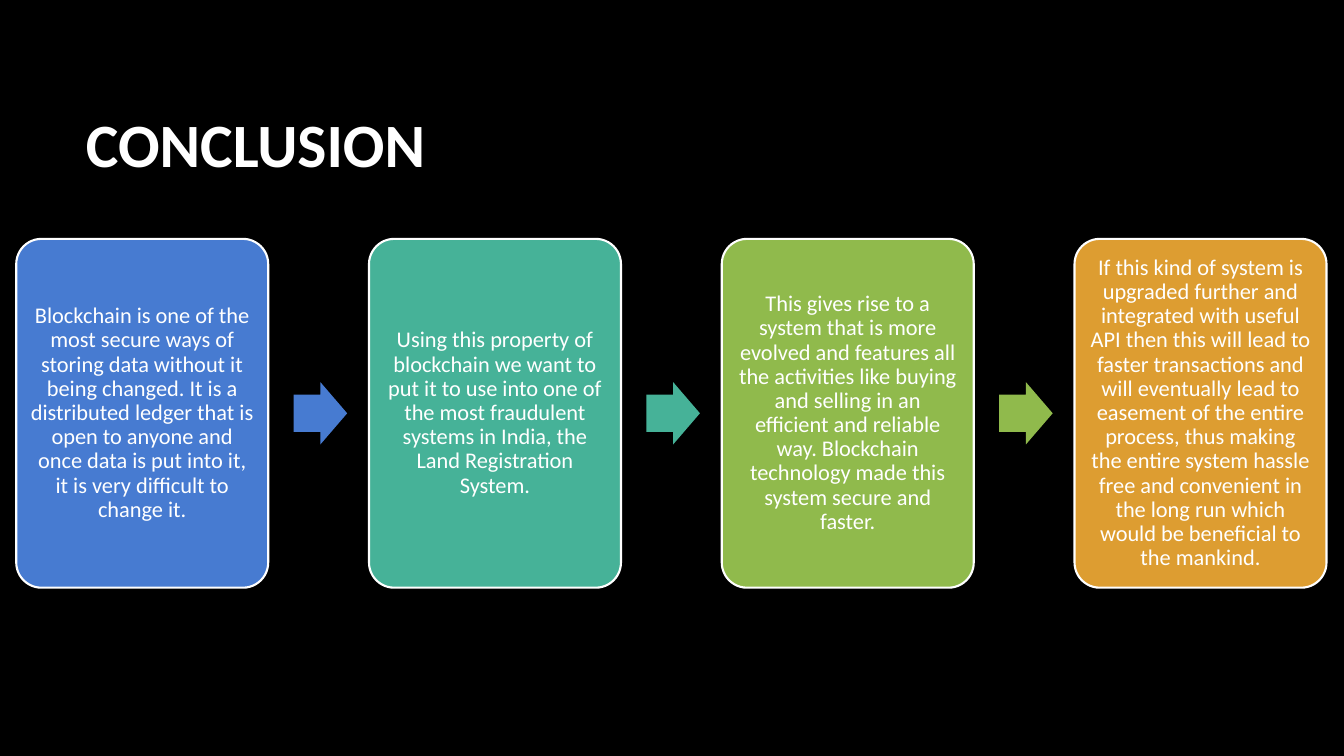
from dataclasses import dataclass

import pptx
import pptx.dml.color
import pptx.enum.shapes
import pptx.enum.text
import pptx.util
from pptx.util import Cm

HUES = {
    "black": "000000",
    "white": "FFFFFF",
    "blue": "477BD1",
    "teal": "46B298",
    "green": "90BA4C",
    "gold": "DD9D31",
}
FONT = "Calibri"
LEFT, TOP, WIDTH, HEIGHT = 0.41, 6.02, 6.35, 8.79
PITCH = 8.89
GAP = 0.64
ARROW_W, ARROW_H = 1.35, 1.57


@dataclass
class Step:
    hue: str
    text: str


STEPS = [
    Step("blue", "Blockchain is one of the most secure ways of storing data without it being "
         "changed. It is a distributed ledger that is open to anyone and once data is put "
         "into it, it is very difficult to change it."),
    Step("teal", "Using this property of blockchain we want to put it to use into one of the "
         "most fraudulent systems in India, the Land Registration System."),
    Step("green", "This gives rise to a system that is more evolved and features all the "
         "activities like buying and selling in an efficient and reliable way. Blockchain "
         "technology made this system secure and faster."),
    Step("gold", "If this kind of system is upgraded further and integrated with useful API "
         "then this will lead to faster transactions and will eventually lead to easement of "
         "the entire process, thus making the entire system hassle free and convenient in "
         "the long run which would be beneficial to the mankind."),
]


def color(name: str) -> pptx.dml.color.RGBColor:
    return pptx.dml.color.RGBColor.from_string(HUES[name])


def write(frame, text: str, size: int, align, bold: bool = False) -> None:
    frame.text = text
    frame.word_wrap = True
    frame.auto_size = pptx.enum.text.MSO_AUTO_SIZE.NONE
    frame.vertical_anchor = pptx.enum.text.MSO_ANCHOR.MIDDLE
    line = frame.paragraphs[0]
    line.alignment = align
    line.line_spacing = 0.9
    font = line.runs[0].font
    font.name = FONT
    font.size = pptx.util.Pt(size)
    font.bold = bold
    font.color.rgb = color("white")


def draw_shape(slide, kind, box: tuple[float, ...], hue: str, adjust: list[float]):
    shape = slide.shapes.add_shape(kind, *map(Cm, box))
    shape.shadow.inherit = False
    shape.fill.solid()
    shape.fill.fore_color.rgb = color(hue)
    for i, value in enumerate(adjust):
        shape.adjustments[i] = value
    return shape


def draw_card(slide, step: Step, left: float) -> None:
    kind = pptx.enum.shapes.MSO_SHAPE.ROUNDED_RECTANGLE
    card = draw_shape(slide, kind, (left, TOP, WIDTH, HEIGHT), step.hue, [0.1])
    card.line.color.rgb = color("white")
    card.line.width = pptx.util.Pt(1.5)
    frame = card.text_frame
    frame.margin_left = frame.margin_right = Cm(0.18)
    frame.margin_top = frame.margin_bottom = Cm(0.18)
    write(frame, step.text, 16, pptx.enum.text.PP_ALIGN.CENTER)


def draw_arrow(slide, step: Step, left: float) -> None:
    kind = pptx.enum.shapes.MSO_SHAPE.RIGHT_ARROW
    top = TOP + (HEIGHT - ARROW_H) / 2
    arrow = draw_shape(slide, kind, (left, top, ARROW_W, ARROW_H), step.hue, [0.6, 0.5])
    arrow.line.fill.background()


def main() -> None:
    deck = pptx.Presentation()
    deck.slide_width, deck.slide_height = Cm(33.87), Cm(19.05)
    slide = deck.slides.add_slide(deck.slide_layouts.get_by_name("Title Only"))
    slide.background.fill.solid()
    slide.background.fill.fore_color.rgb = color("black")

    title = slide.shapes.title
    title.left, title.top = Cm(1.91), Cm(1.7)
    title.width, title.height = Cm(28.14), Cm(4.04)
    write(title.text_frame, "CONCLUSION", 44, pptx.enum.text.PP_ALIGN.LEFT, True)

    for i, step in enumerate(STEPS):
        left = LEFT + i * PITCH
        draw_card(slide, step, left)
        if i < len(STEPS) - 1:
            draw_arrow(slide, step, left + WIDTH + GAP)

    deck.save("out.pptx")


if __name__ == "__main__":
    main()
